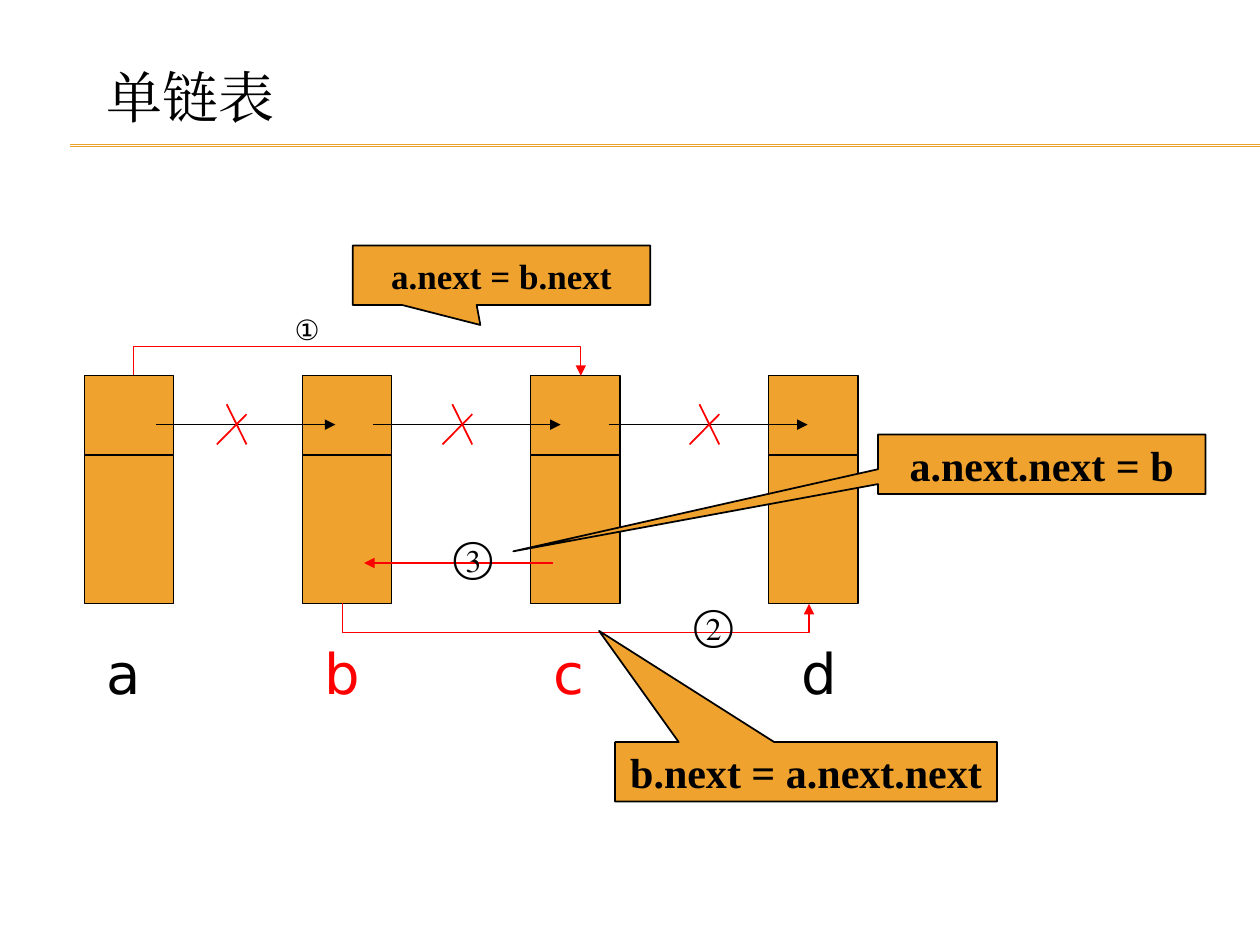
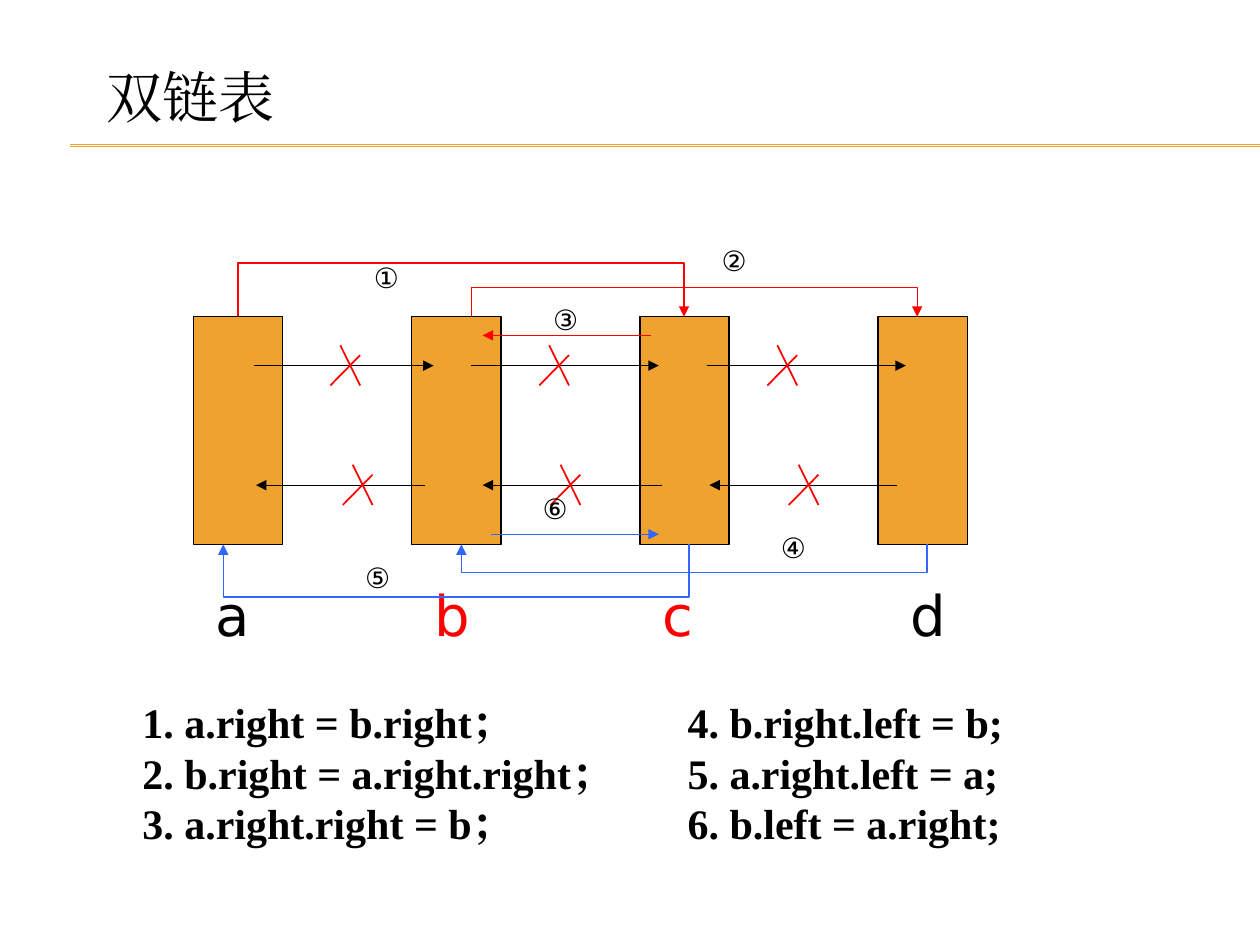
from lxml import etree as et
from pptx import Presentation
from pptx import util as u
from pptx.dml.color import RGBColor
from pptx.enum import shapes as sh, text as tx
from pptx.oxml import ns

hue = RGBColor.from_string
GOLD, BLACK, RED, BLUE = "F0A22E", "000000", "FF0000", "3366FF"
SANS, SERIF = "DejaVu Sans", "Times New Roman"
WIDE, TALL = 1.8, 4.6
THIN = 0.01


def write(shape, lines, size, font=SERIF, tint=BLACK, bold=False, align="LEFT", top="TOP"):
    frame = shape.text_frame
    form = dict(word_wrap=False, auto_size=tx.MSO_AUTO_SIZE.NONE,
                vertical_anchor=tx.MSO_ANCHOR[top],
                margin_left=u.Cm(0.25), margin_right=u.Cm(0.25),
                margin_top=u.Cm(0.13), margin_bottom=u.Cm(0.13))
    for key, val in form.items():
        setattr(frame, key, val)
    for i, line in enumerate(lines):
        para = frame.add_paragraph() if i else frame.paragraphs[0]
        prop = para._p.get_or_add_pPr()
        prop.set("marL", "0")
        prop.set("indent", "0")
        et.SubElement(prop, ns.qn("a:buNone"))
        para.alignment = tx.PP_ALIGN[align]
        para.space_before = u.Pt(0)
        run = para.add_run()
        run.text = line
        for key, val in dict(name=font, size=u.Pt(size), bold=bold).items():
            setattr(run.font, key, val)
        et.SubElement(run._r.rPr, ns.qn("a:ea"), typeface=font)
        run.font.color.rgb = hue(tint)


def link(page, x1, y1, x2, y2, tint, width=0.75, head=False, bend=0):
    kind = sh.MSO_CONNECTOR.ELBOW if bend else sh.MSO_CONNECTOR.STRAIGHT
    line = page.shapes.add_connector(kind, *map(u.Cm, (x1, y1, x2, y2)))
    line.line.color.rgb = hue(tint)
    line.line.width = u.Pt(width)
    prop = line.element.spPr
    if head:
        et.SubElement(prop.find(ns.qn("a:ln")), ns.qn("a:tailEnd"), type="triangle")
    et.SubElement(prop, ns.qn("a:effectLst"))
    if bend:
        span = abs(x2 - x1)
        form = dict(left=(x1 + x2 - THIN) / 2, top=y1 - span / 2, width=THIN, height=span)
        for key, val in form.items():
            setattr(line, key, u.Cm(val))
        turn = prop.find(ns.qn("a:xfrm"))
        for key in ("flipH", "flipV"):
            turn.attrib.pop(key, None)
        turn.set("rot", "5400000")
        if x1 < x2:
            turn.set("flipV", "1")
        guide = prop.find(ns.qn("a:prstGeom")).get_or_add_avLst()
        et.SubElement(guide, ns.qn("a:gd"), name="adj1", fmla=f"val {round(bend / THIN * 100000)}")
    return line


single = dict(
    title="单链表", layout=5, left=1.7, top=7.57, base=12.75, split=1.6,
    arrows=[(3.15, 6.76, 8.56, BLACK), (7.52, 11.3, 8.56, BLACK),
            (12.27, 16.28, 8.56, BLACK), (11.15, 7.34, 11.35, RED)],
    crosses=[(4.57, 8.15), (9.12, 8.15), (14.1, 8.15)],
    elbows=[(2.69, 11.71, 7.57, -0.58, RED), (6.91, 16.31, 12.17, 0.58, RED)],
    calls=[("a.next = b.next", 7.11, 4.95, 6, 20, -0.071, 0.835),
           ("a.next.next = b", 17.7, 8.76, 6.6, 24, -1.614, 1.463),
           ("b.next = a.next.next", 12.4, 14.96, 7.7, 24, -0.542, -2.368)],
    marks=[("①", 5.69, 6.17, 16, SANS), ("③", 8.89, 10.57, 24, SERIF),
           ("②", 13.74, 11.94, 24, SERIF)],
    lists=[])

double = dict(
    title="双链表", layout=3, left=3.9, top=6.38, base=11.58, split=0,
    arrows=[(5.13, 8.74, 7.37, BLACK), (9.5, 13.28, 7.37, BLACK),
            (14.25, 18.26, 7.37, BLACK), (8.56, 5.16, 9.78, BLACK),
            (13.34, 9.73, 9.78, BLACK), (18.08, 14.3, 9.78, BLACK),
            (13.13, 9.73, 6.76, RED), (9.9, 13.28, 10.77, BLUE)],
    crosses=[(6.86, 6.96), (11.07, 6.96), (15.67, 6.96),
             (7.11, 9.37), (11.3, 9.37), (16.1, 9.37)],
    elbows=[(4.8, 13.79, 6.38, -1.07, RED), (9.5, 18.49, 6.38, -0.58, RED),
            (18.69, 9.3, 10.97, 0.58, BLUE), (13.89, 4.5, 10.97, 1.07, BLUE)],
    calls=[],
    marks=[(mark, x, y, 16, SANS) for mark, x, y in
           [("①", 7.29, 5.13), ("②", 14.3, 4.78), ("③", 10.9, 5.97),
            ("④", 15.49, 10.57), ("⑤", 7.11, 11.18), ("⑥", 10.69, 9.78)]],
    lists=[(2.62, ["1. a.right = b.right；", "2. b.right = a.right.right；",
                   "3. a.right.right = b；"]),
           (13.61, ["4. b.right.left = b;", "5. a.right.left = a;",
                    "6. b.left = a.right;"])])

nodes = [("a", 0, 0.2, BLACK), ("b", 4.4, 0.2, RED),
         ("c", 9, 0.2, RED), ("d", 13.8, 0.4, BLACK)]

deck = Presentation()
deck.slide_width, deck.slide_height = u.Cm(25.4), u.Cm(19.05)

for plan in (single, double):
    page = deck.slides.add_slide(deck.slide_layouts[plan["layout"]])
    if plan is single:
        for i, y in enumerate((2.92, 2.95)):
            rule = link(page, 1.42, y, 25.4, y, GOLD)
            rule.element.nvCxnSpPr.cNvPr.id = 20 + i
            deck.slide_master.shapes.element.append(rule.element)

    holds = list(page.placeholders)
    spots = [(1.9, 1.12, 6.2, 1.63)] + [(x, 13.92, 10.5, 3.33) for x, _ in plan["lists"]]
    words = [[plan["title"]]] + [rows for _, rows in plan["lists"]]
    for i, (hold, spot, rows) in enumerate(zip(holds, spots, words)):
        for key, val in zip(("left", "top", "width", "height"), spot):
            setattr(hold, key, u.Cm(val))
        write(hold, rows, 24 if i else 32, bold=i > 0)

    for name, x, pad, tint in nodes:
        x += plan["left"]
        box = page.shapes.add_shape(sh.MSO_SHAPE.RECTANGLE,
                                    *map(u.Cm, (x, plan["top"], WIDE, TALL)))
        box.shadow.inherit = False
        box.fill.solid()
        box.fill.fore_color.rgb = hue(GOLD)
        box.line.color.rgb = hue(BLACK)
        box.line.width = u.Pt(0.75)
        if plan["split"]:
            y = plan["top"] + plan["split"]
            link(page, x, y, x + WIDE, y, BLACK)
        label = page.shapes.add_textbox(*map(u.Cm, (x + pad, plan["base"], 1.2, 1.6)))
        write(label, [name], 32, SANS, tint)

    for x1, x2, y, tint in plan["arrows"]:
        link(page, x1, y, x2, y, tint, head=True)
    for x, y in plan["crosses"]:
        link(page, x, y, x + 0.4, y + 0.81, RED, 1)
        link(page, x + 0.4, y + 0.2, x - 0.2, y + 0.81, RED, 1)
    for x1, x2, y, bend, tint in plan["elbows"]:
        link(page, x1, y, x2, y, tint, head=True, bend=bend)

    for code, x, y, wide, size, tipx, tipy in plan["calls"]:
        call = page.shapes.add_shape(sh.MSO_SHAPE.RECTANGULAR_CALLOUT,
                                     *map(u.Cm, (x, y, wide, 1.2)))
        call.adjustments[0], call.adjustments[1] = tipx, tipy
        call.shadow.inherit = False
        call.fill.solid()
        call.fill.fore_color.rgb = hue(GOLD)
        call.line.color.rgb = hue(BLACK)
        call.line.width = u.Pt(1)
        write(call, [code], size, bold=True, align="CENTER", top="MIDDLE")

    for mark, x, y, size, font in plan["marks"]:
        spot = page.shapes.add_textbox(*map(u.Cm, (x, y, 1.1, 1)))
        write(spot, [mark], size, font)

deck.save("out.pptx")
